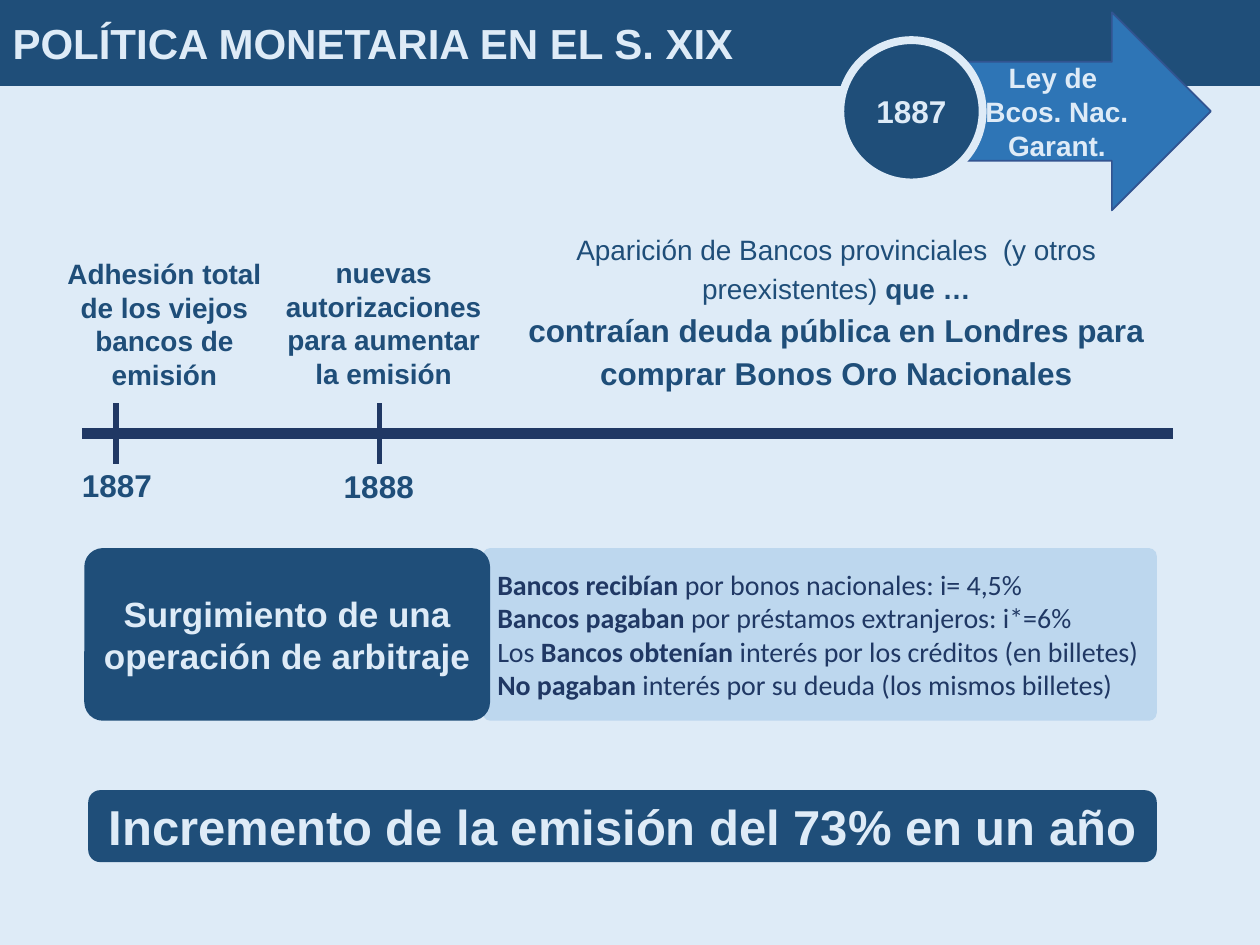
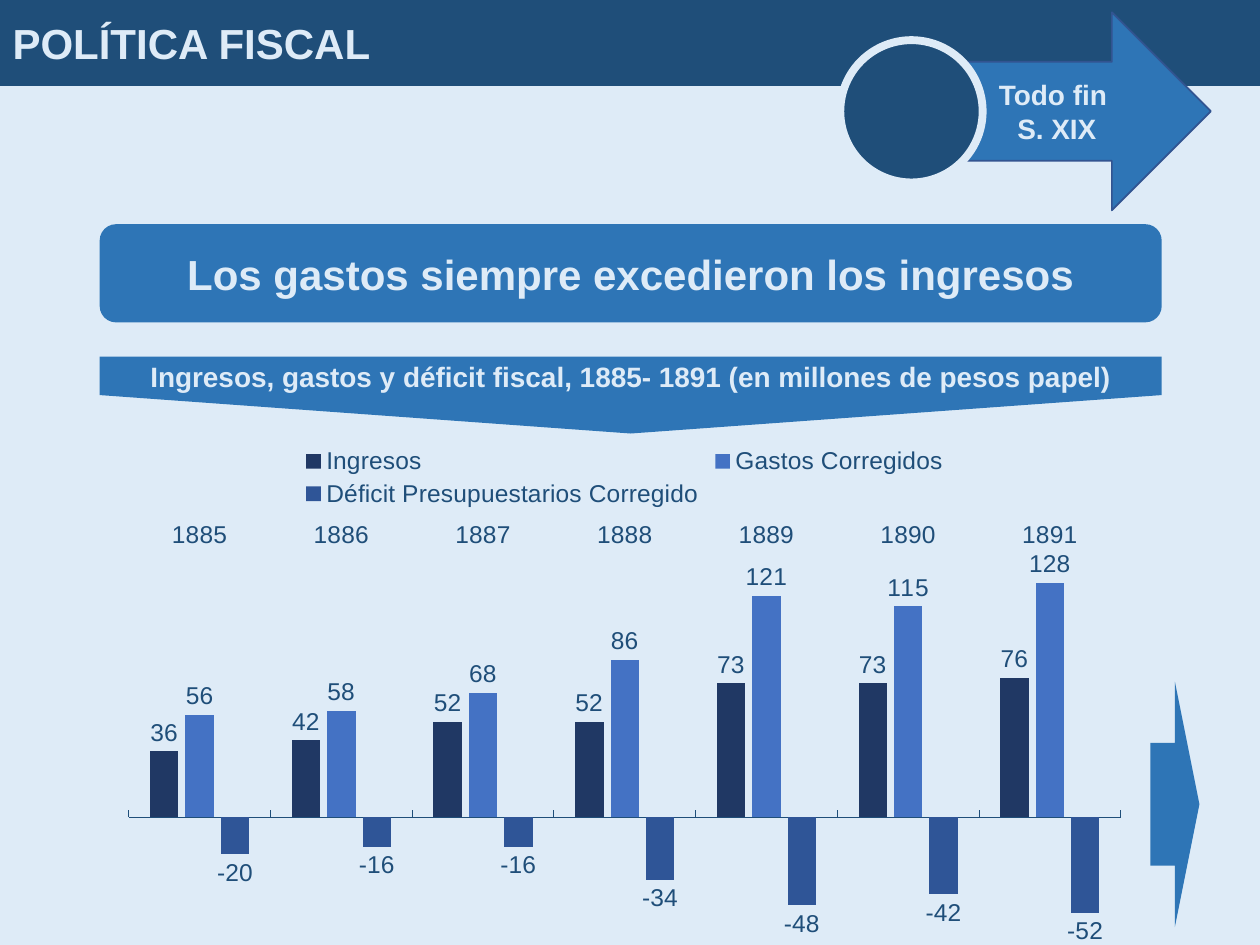
from lxml import etree
from pptx import Presentation
from pptx.chart.data import CategoryChartData
from pptx.dml.color import RGBColor
from pptx.enum.chart import (XL_CHART_TYPE, XL_LABEL_POSITION, XL_LEGEND_POSITION,
                             XL_TICK_LABEL_POSITION, XL_TICK_MARK)
from pptx.enum.shapes import MSO_CONNECTOR, MSO_SHAPE
from pptx.enum.text import MSO_ANCHOR, MSO_AUTO_SIZE, PP_ALIGN
from pptx.oxml import parse_xml
from pptx.oxml.ns import nsdecls, qn
from pptx.util import Cm, Pt

LEFT, CENTER = PP_ALIGN.LEFT, PP_ALIGN.CENTER
MIDDLE = MSO_ANCHOR.MIDDLE
GROW, FIXED = MSO_AUTO_SIZE.SHAPE_TO_FIT_TEXT, MSO_AUTO_SIZE.NONE
RECT, OVAL = MSO_SHAPE.ROUNDED_RECTANGLE, MSO_SHAPE.OVAL
RIGHT, DOWN = MSO_SHAPE.RIGHT_ARROW, MSO_SHAPE.DOWN_ARROW

C = {k: RGBColor.from_string(v) for k, v in {
    "pale": "DEEBF7", "dark": "1F4E79", "blue": "2E75B6", "light": "BDD7EE",
    "navy": "203864", "edge": "325491", "income": "203864",
    "spending": "4472C4", "deficit": "2F5597"}.items()}


def write(tf, paras, color, size, bold=True, font="Arial", align=CENTER, **frame):
    """Each paragraph is a list of (text, font changes) runs."""
    for name, value in {"word_wrap": True, **frame}.items():
        setattr(tf, name, value)
    for i, runs in enumerate(paras):
        p = tf.add_paragraph() if i else tf.paragraphs[0]
        p.alignment = align
        for text, changes in runs:
            r = p.add_run()
            r.text = text
            fmt = {"name": font, "size": Pt(size), "bold": bold, **changes}
            for name, value in fmt.items():
                setattr(r.font, name, value)
            r.font.color.rgb = C[color]


def box(s, kind, at, fill, line=None, width=1, adj=()):
    sp = s.shapes.add_shape(kind, *map(Cm, at))
    sp.shadow.inherit = False
    sp.fill.solid()
    sp.fill.fore_color.rgb = C[fill]
    if line:
        sp.line.color.rgb = C[line]
        sp.line.width = Pt(width)
    else:
        sp.line.fill.background()
    for i, value in enumerate(adj):
        sp.adjustments[i] = value
    return sp


prs = Presentation()
prs.slide_width, prs.slide_height = Cm(25.4), Cm(19.05)
bg = prs.slide_master.background.fill
bg.solid()
bg.fore_color.rgb = C["pale"]

# Shared header: title band, arrow and period circle
headers = [
    ("POLÍTICA MONETARIA EN EL S. XIX", ["Ley de ", "Bcos. Nac. Garant."], "1887"),
    ("POLÍTICA FISCAL", ["Todo fin ", "S. XIX"], None),
]
slides = []
for title, law, year in headers:
    s = prs.slides.add_slide(prs.slide_layouts[5])
    sp = s.shapes.title
    sp.left, sp.top, sp.width, sp.height = map(Cm, (0, 0, 25.4, 1.73))
    sp.fill.solid()
    sp.fill.fore_color.rgb = C["dark"]
    write(sp.text_frame, [[(title, {})]], "pale", 24, align=LEFT,
          vertical_anchor=MIDDLE, auto_size=FIXED)
    sp = box(s, RIGHT, (19.2, 0.25, 5.21, 3.99), "blue", "edge")
    write(sp.text_frame, [[(t, {})] for t in law], "pale", 16, vertical_anchor=MIDDLE)
    sp = box(s, OVAL, (16.94, 0.81, 2.87, 2.87), "dark", "pale", 4.5)
    if year:
        write(sp.text_frame, [[(year, {})]], "pale", 18, vertical_anchor=MIDDLE)
    slides.append(s)
monetary, fiscal = slides

# Monetary policy: result and arbitrage boxes
sp = box(monetary, RECT, (1.78, 15.93, 21.54, 1.45), "dark")
write(sp.text_frame, [[("Incremento de la emisión del 73% en un año", {})]],
      "pale", 28, vertical_anchor=MIDDLE)

bold = {"bold": True}
sp = box(monetary, RECT, (9.73, 11.05, 13.59, 3.48), "light", adj=[0.045])
write(sp.text_frame, [
    [("Bancos recibían ", bold), ("por bonos nacionales: i= 4,5%", {})],
    [("Bancos pagaban ", bold), ("por préstamos extranjeros: i*=6%", {})],
    [("Los ", {}), ("Bancos obtenían ", bold),
     ("interés por los créditos (en billetes)", {})],
    [("No pagaban ", bold), ("interés por su deuda (los mismos billetes)", {})],
], "navy", 16, bold=False, font="Calibri", align=LEFT, vertical_anchor=MIDDLE)

sp = box(monetary, RECT, (1.7, 11.05, 8.18, 3.48), "dark", adj=[0.108])
write(sp.text_frame, [[("Surgimiento de una operación de arbitraje", {})]],
      "pale", 20, vertical_anchor=MIDDLE)

# Timeline axis and ticks
for x1, y1, x2, y2, width in [(1.65, 8.74, 23.65, 8.74, 6),
                              (2.34, 8.13, 2.34, 9.35, 3),
                              (7.65, 8.13, 7.65, 9.35, 3)]:
    ln = monetary.shapes.add_connector(MSO_CONNECTOR.STRAIGHT, *map(Cm, (x1, y1, x2, y2)))
    ln.line.color.rgb = C["navy"]
    ln.line.width = Pt(width)
    etree.SubElement(ln._element.spPr, qn("a:effectLst"))

# Timeline years and events
events = [
    ("1887", (1.4, 9.27), "Adhesión total de los viejos bancos de emisión", (1.04, 5.05)),
    ("1888", (6.68, 9.3), "nuevas autorizaciones para aumentar la emisión", (5.46, 5.03)),
]
for year, year_at, event, event_at in events:
    sp = monetary.shapes.add_textbox(*map(Cm, (*year_at, 1.93, 1.02)))
    write(sp.text_frame, [[(year, {})]], "dark", 18, align=LEFT,
          word_wrap=False, auto_size=GROW)
    sp = monetary.shapes.add_textbox(*map(Cm, (*event_at, 4.55, 3)))
    write(sp.text_frame, [[(event, {})]], "dark", 16, auto_size=GROW)

sp = monetary.shapes.add_textbox(*map(Cm, (8.81, 4.47, 14.83, 3.53)))
write(sp.text_frame, [
    [("Aparición de Bancos provinciales  (y otros preexistentes) ", {"bold": False}),
     ("que …", {})],
    [("contraían deuda pública en Londres para comprar Bonos Oro Nacionales",
      {"size": Pt(18)})],
], "dark", 16, auto_size=GROW)
for p in sp.text_frame.paragraphs:
    p.level, p.line_spacing = 1, 1.15

# Fiscal policy: budget chart
series = [
    ("Ingresos", [36, 42, 52, 52, 73, 73, 76], "income"),
    ("Gastos Corregidos", [56, 58, 68, 86, 121, 115, 128], "spending"),
    ("Déficit Presupuestarios Corregido", [-20, -16, -16, -34, -48, -42, -52], "deficit"),
]
data = CategoryChartData()
data.categories = [str(year) for year in range(1885, 1892)]
for name, values, _ in series:
    data.add_series(name, values)
chart = fiscal.shapes.add_chart(XL_CHART_TYPE.COLUMN_CLUSTERED,
                                *map(Cm, (2.18, 8.74, 20.83, 10.31)), data).chart
chart.has_title = False
chart.font.name, chart.font.size = "Arial", Pt(14)
chart.font.color.rgb = C["dark"]
chart.has_legend = True
chart.legend.position = XL_LEGEND_POSITION.TOP
chart.legend.include_in_layout = False

axis = chart.category_axis
axis.tick_label_position = XL_TICK_LABEL_POSITION.HIGH
axis.major_tick_mark = XL_TICK_MARK.INSIDE
axis.minor_tick_mark = XL_TICK_MARK.NONE
axis.format.line.color.rgb = C["dark"]
axis.format.line.width = Pt(0.5)
axis = chart.value_axis
axis.visible = axis.has_major_gridlines = False
axis.minimum_scale, axis.maximum_scale = -60, 140

plot = chart.plots[0]
plot.vary_by_categories = False
plot.gap_width, plot.overlap = 150, -25
for ser, (_, _, color) in zip(plot.series, series):
    ser.invert_if_negative = False
    ser.format.fill.solid()
    ser.format.fill.fore_color.rgb = C[color]
    ser.data_labels.show_value = True
    ser.data_labels.position = XL_LABEL_POSITION.OUTSIDE_END

# Fixed plot area below the legend
area = chart._chartSpace.chart.plotArea
for old in area.findall(qn("c:layout")):
    area.remove(old)
parts = {"layoutTarget": "inner", "xMode": "edge", "yMode": "edge",
         "x": 0.02, "y": 0.25, "w": 0.96, "h": 0.72}
inner = "".join(f'<c:{k} val="{v}"/>' for k, v in parts.items())
area.insert(0, parse_xml(f'<c:layout {nsdecls("c")}><c:manualLayout>{inner}'
                         '</c:manualLayout></c:layout>'))

# Fiscal policy: message, chart heading and side arrow
banners = [
    (RECT, (2.01, 4.52, 21.41, 1.98), (), 24, "Los gastos siempre excedieron los ingresos"),
    (DOWN, (2.01, 7.19, 21.41, 1.55), (1, 0.5), 16,
     "Ingresos, gastos y déficit fiscal, 1885- 1891 (en millones de pesos papel)"),
]
for kind, at, adj, size, text in banners:
    sp = box(fiscal, kind, at, "blue", adj=adj)
    write(sp.text_frame, [[(text, {})]], "pale", size, vertical_anchor=MIDDLE)
box(fiscal, RIGHT, (23.19, 13.74, 0.99, 4.95), "blue")

prs.save("out.pptx")
